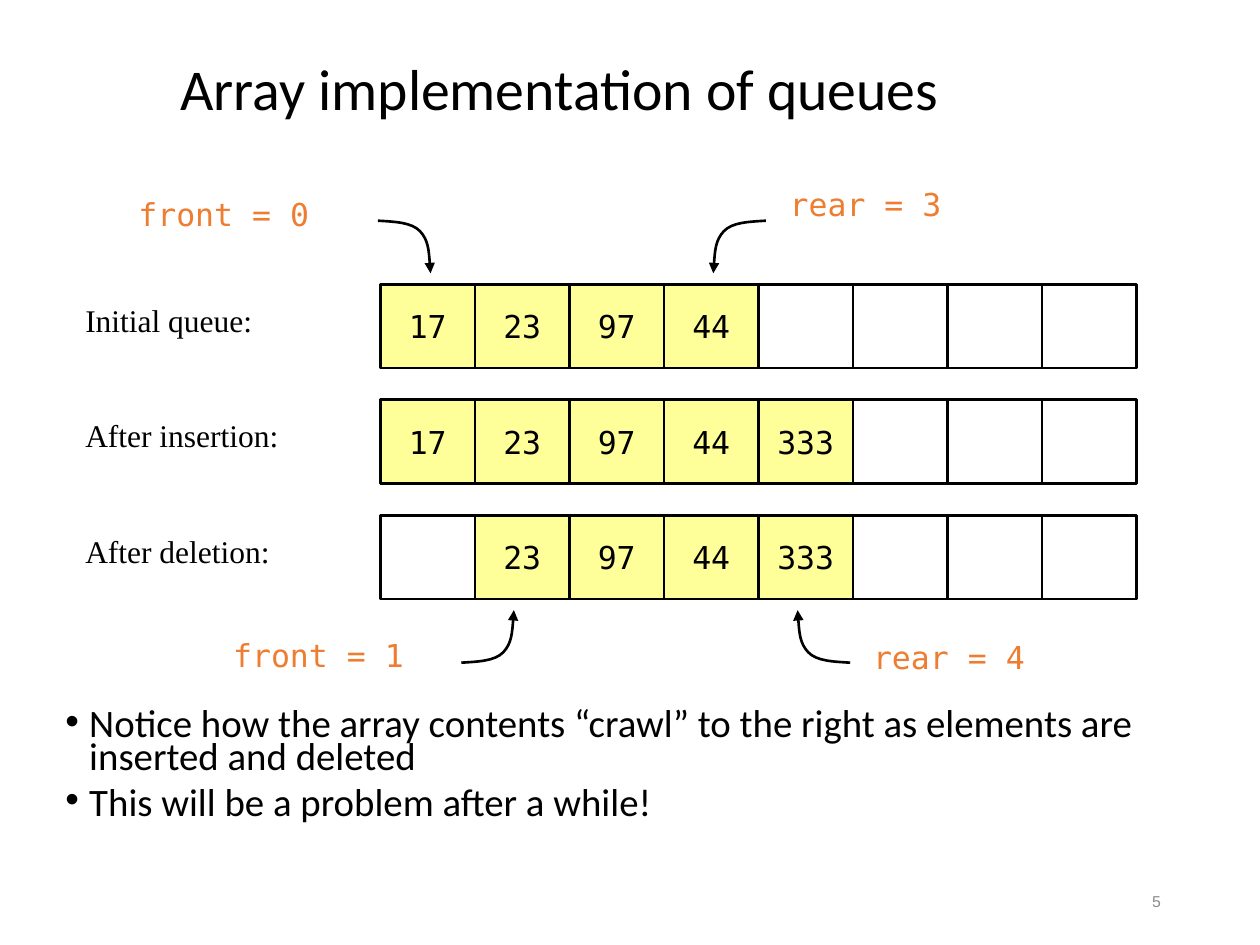
from dataclasses import dataclass

from lxml.etree import SubElement
from pptx import Presentation
from pptx.dml.color import RGBColor
from pptx.enum.shapes import MSO_SHAPE
from pptx.enum.text import MSO_ANCHOR, MSO_AUTO_SIZE, PP_ALIGN
from pptx.oxml.ns import qn
from pptx.shapes.base import BaseShape
from pptx.shapes.shapetree import GroupShapes
from pptx.text.text import TextFrame, _Paragraph
from pptx.util import Cm, Pt

BLACK = RGBColor(0x00, 0x00, 0x00)
GRAY = RGBColor(0x8C, 0x8C, 0x8C)
ORANGE = RGBColor(0xED, 0x7D, 0x31)
YELLOW = RGBColor(0xFF, 0xFF, 0x99)

CELL_COUNT = 8
CELL_WIDTH = 15.24 / CELL_COUNT
CELL_HEIGHT = 1.69
ARRAY_LEFT = 7.67
ARRAY_TOP = 5.73
ROW_PITCH = 2.33
LABEL_LEFT = 1.47
LABEL_DROP = 0.21
ARROW_SIZE = 1.06
ARROW_CURVE = [
    (0.32, 0.02), (0.64, 0.03), (0.80, 0.20),
    (0.96, 0.37), (0.98, 0.69), (1.00, 1.00),
]

TITLE_FONT = {"name": "Calibri", "size": Pt(33)}
BODY_FONT = {"name": "Calibri", "size": Pt(22.2)}
CODE_FONT = {"name": "DejaVu Sans Mono", "size": Pt(18)}
LABEL_FONT = {"name": "Times New Roman", "size": Pt(18)}
NUMBER_FONT = {"name": "Arial", "size": Pt(9)}


@dataclass
class Pointer:
    text: str
    left: float
    top: float
    width: float
    arrow_left: float
    arrow_top: float
    x_direction: int
    y_direction: int


@dataclass
class QueueRow:
    label: str
    first_index: int
    values: list[str]
    pointers: list[Pointer]


ROWS = [
    QueueRow("Initial queue:", 0, ["17", "23", "97", "44"], [
        Pointer("rear = 3", 15.67, 3.61, 4.65, 15.44, 4.45, -1, 1),
        Pointer("front = 0", 2.54, 3.81, 5.28, 7.62, 4.45, 1, 1),
    ]),
    QueueRow("After insertion:", 0, ["17", "23", "97", "44", "333"], []),
    QueueRow("After deletion:", 1, ["23", "97", "44", "333"], [
        Pointer("rear = 4", 17.35, 12.73, 4.65, 17.14, 13.36, -1, -1),
        Pointer("front = 1", 4.45, 12.7, 5.08, 9.3, 13.36, 1, -1),
    ]),
]
NOTES = [
    "Notice how the array contents “crawl” to the right as elements are inserted and deleted",
    "This will be a problem after a while!",
]


def write(paragraph: _Paragraph, text: str, font_format: dict, color: RGBColor = BLACK) -> None:
    run = paragraph.add_run()
    run.text = text
    for name, value in font_format.items():
        setattr(run.font, name, value)
    run.font.color.rgb = color


def add_text(shapes: GroupShapes, text: str, left: float, top: float, width: float,
             font_format: dict, color: RGBColor = BLACK, height: float = 1.27) -> TextFrame:
    frame = shapes.add_textbox(Cm(left), Cm(top), Cm(width), Cm(height)).text_frame
    frame.word_wrap = True
    write(frame.paragraphs[0], text, font_format, color)
    return frame


def format_outline(shape: BaseShape) -> None:
    shape.shadow.inherit = False
    shape.fill.background()
    shape.line.color.rgb = BLACK
    shape.line.width = Pt(1.5)


def add_cell(shapes: GroupShapes, left: float, top: float, value: str) -> None:
    cell = shapes.add_shape(MSO_SHAPE.RECTANGLE, Cm(left), Cm(top), Cm(CELL_WIDTH), Cm(CELL_HEIGHT))
    format_outline(cell)
    if value:
        cell.fill.solid()
        cell.fill.fore_color.rgb = YELLOW
        frame = cell.text_frame
        frame.word_wrap = False
        frame.vertical_anchor = MSO_ANCHOR.MIDDLE
        frame.paragraphs[0].alignment = PP_ALIGN.CENTER
        write(frame.paragraphs[0], value, CODE_FONT)


def add_arrow(shapes: GroupShapes, pointer: Pointer) -> None:
    builder = shapes.build_freeform(Cm(pointer.arrow_left), Cm(pointer.arrow_top))
    builder.add_line_segments([
        (Cm(pointer.arrow_left + pointer.x_direction * ARROW_SIZE * x),
         Cm(pointer.arrow_top + pointer.y_direction * ARROW_SIZE * y))
        for x, y in ARROW_CURVE
    ], close=False)
    arrow = builder.convert_to_shape()
    format_outline(arrow)
    segments = arrow.element.xpath(".//a:lnTo")
    outline = segments[0].getparent()
    for start in range(0, len(segments), 3):
        curve = SubElement(outline, qn("a:cubicBezTo"))
        for segment in segments[start:start + 3]:
            curve.append(segment[0])
            outline.remove(segment)
    SubElement(arrow.line._get_or_add_ln(), qn("a:tailEnd"), type="triangle", w="med", len="med")


def add_row(shapes: GroupShapes, row: QueueRow, top: float) -> None:
    values = [""] * row.first_index + row.values
    values += [""] * (CELL_COUNT - len(values))
    for index, value in enumerate(values):
        add_cell(shapes, ARRAY_LEFT + index * CELL_WIDTH, top, value)
    add_text(shapes, row.label, LABEL_LEFT, top + LABEL_DROP, 5.72, LABEL_FONT)
    for pointer in row.pointers:
        add_text(shapes, pointer.text, pointer.left, pointer.top, pointer.width, CODE_FONT, ORANGE)
        add_arrow(shapes, pointer)


def format_bullet(paragraph: _Paragraph) -> None:
    properties = paragraph._p.get_or_add_pPr()
    properties.set("marL", str(Cm(0.48)))
    properties.set("indent", str(-Cm(0.48)))
    SubElement(properties, qn("a:buFont"), typeface="Arial")
    SubElement(properties, qn("a:buChar"), char="•")
    paragraph.line_spacing = 0.7


def main() -> None:
    presentation = Presentation()
    presentation.slide_width, presentation.slide_height = Cm(25.4), Cm(19.05)
    slide = presentation.slides.add_slide(presentation.slide_layouts[5])

    title = slide.shapes.title
    bounds = {"left": 3.38, "top": 0.84, "width": 21.64, "height": 2.03}
    for name, value in bounds.items():
        setattr(title, name, Cm(value))
    title.text_frame.auto_size = MSO_AUTO_SIZE.NONE
    title.text_frame.vertical_anchor = MSO_ANCHOR.MIDDLE
    heading = title.text_frame.paragraphs[0]
    heading.alignment = PP_ALIGN.LEFT
    heading.line_spacing = 0.9
    write(heading, "Array implementation of queues", TITLE_FONT)

    notes = add_text(slide.shapes, NOTES[0], 1.07, 14.22, 23.83, BODY_FONT, height=2.64)
    format_bullet(notes.paragraphs[0])
    for note in NOTES[1:]:
        paragraph = notes.add_paragraph()
        format_bullet(paragraph)
        paragraph.space_before = Pt(7.5)
        write(paragraph, note, BODY_FONT)

    number = add_text(slide.shapes, "5", 17.93, 17.65, 5.72, NUMBER_FONT, GRAY, height=1.02)
    number.vertical_anchor = MSO_ANCHOR.MIDDLE
    number.paragraphs[0].alignment = PP_ALIGN.RIGHT

    for index, row in enumerate(ROWS):
        group = slide.shapes.add_group_shape()
        add_row(group.shapes, row, ARRAY_TOP + index * ROW_PITCH)

    presentation.save("out.pptx")


if __name__ == "__main__":
    main()
